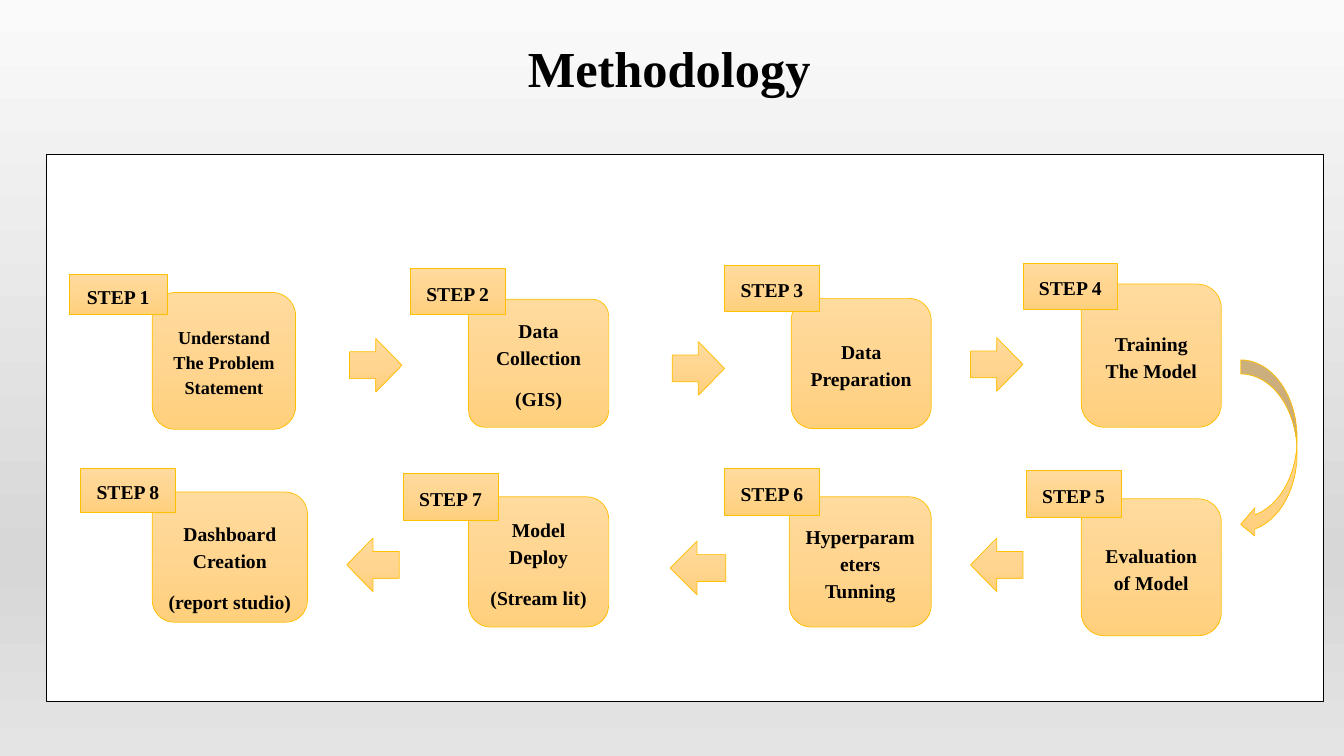
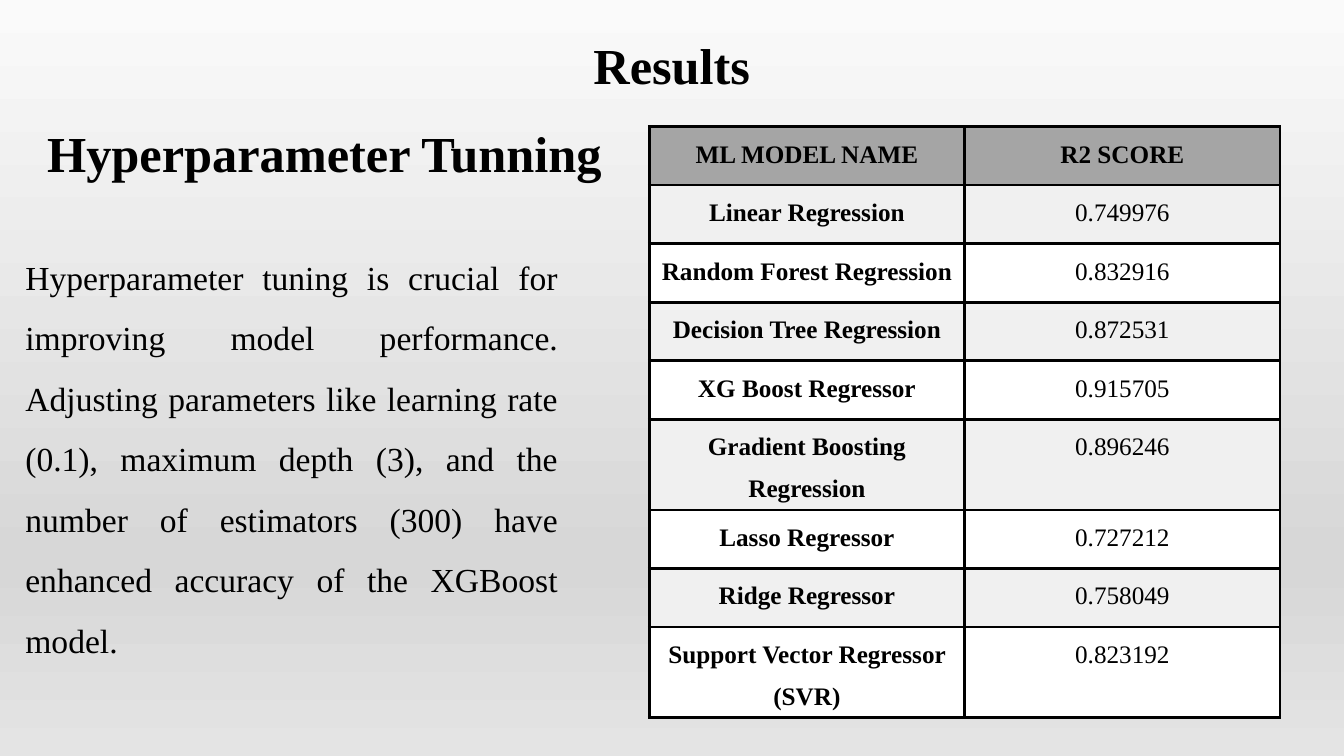
from lxml import etree
from pptx import Presentation
from pptx.dml.color import RGBColor
from pptx.enum.shapes import MSO_SHAPE
from pptx.enum.text import MSO_ANCHOR, MSO_AUTO_SIZE, PP_ALIGN
from pptx.oxml.ns import qn
from pptx.util import Cm, Pt

RECT = MSO_SHAPE.RECTANGLE
ROUND = MSO_SHAPE.ROUNDED_RECTANGLE
RIGHT_ARROW = MSO_SHAPE.RIGHT_ARROW
LEFT_ARROW = MSO_SHAPE.LEFT_ARROW
CURVED_ARROW = MSO_SHAPE.CURVED_LEFT_ARROW
CENTER, JUSTIFY = PP_ALIGN.CENTER, PP_ALIGN.JUSTIFY
TOP, MIDDLE = MSO_ANCHOR.TOP, MSO_ANCHOR.MIDDLE
NO_FIT = MSO_AUTO_SIZE.NONE

FONT = "Times New Roman"
BLACK, WHITE, GOLD = "000000", "FFFFFF", "FFC000"
HEADER, BAND = "A5A5A5", "F0F0F0"
BACKDROP = ((0, "FAFAFA"), (74, "D7D7D7"), (100, "E4E4E4"))
AMBER = ((0, "FFDB9E"), (50, "FFD590"), (100, "FFD07C"))

STEPS = (
    (("Understand The Problem Statement",), (3.84, 7.37, 3.61, 3.45),
     (-2.09, -0.46, 2.46, 1.02), {"size": 13}),
    (("Data Collection", "(GIS)"), (11.81, 7.54, 3.53, 3.23),
     (-1.47, -0.78, 2.39, 1.17), {"corner": 0.13}),
    (("Data Preparation",), (19.94, 7.52, 3.53, 3.28),
     (-1.68, -0.84, 2.39, 1.17), {}),
    (("Training The Model",), (27.25, 7.16, 3.53, 3.61),
     (-1.47, -0.53, 2.39, 1.17), {}),
    (("Evaluation of Model",), (27.25, 12.57, 3.53, 3.45),
     (-1.39, -0.71, 2.39, 1.17), {}),
    (("Hyperparameters Tunning",), (19.89, 12.52, 3.58, 3.28),
     (-1.63, -0.71, 2.39, 1.17), {}),
    (("Model Deploy", "(Stream lit)"), (11.81, 12.52, 3.53, 3.28),
     (-1.65, -0.58, 2.39, 1.17), {}),
    (("Dashboard Creation", "(report studio)"), (3.84, 12.4, 3.91, 3.28),
     (-1.81, -0.59, 2.39, 1.09), {"anchor": TOP, "top": 0.5, "side": 0.1}),
)
ARROWS = (
    (RIGHT_ARROW, (8.81, 8.53, 1.32, 1.35)),
    (RIGHT_ARROW, (16.94, 8.61, 1.32, 1.35)),
    (RIGHT_ARROW, (24.46, 8.51, 1.32, 1.35)),
    (CURVED_ARROW, (31.27, 9.07, 1.42, 4.5)),
    (LEFT_ARROW, (24.46, 13.56, 1.32, 1.35)),
    (LEFT_ARROW, (16.89, 13.64, 1.4, 1.35)),
    (LEFT_ARROW, (8.74, 13.56, 1.32, 1.35)),
)
SCORES = (
    ("ML MODEL NAME", "R2 SCORE"),
    ("Linear Regression", "0.749976"),
    ("Random Forest Regression", "0.832916"),
    ("Decision Tree Regression", "0.872531"),
    ("XG Boost Regressor", "0.915705"),
    ("Gradient Boosting Regression", "0.896246"),
    ("Lasso Regressor", "0.727212"),
    ("Ridge Regressor", "0.758049"),
    ("Support Vector Regressor (SVR)", "0.823192"),
)
TUNING = (
    "Hyperparameter tuning is crucial for improving model performance. "
    "Adjusting parameters like learning rate (0.1), maximum depth (3), and "
    "the number of estimators (300) have enhanced accuracy of the XGBoost model."
)


def rgb(value):
    return RGBColor.from_string(value)


def cms(box):
    return [Cm(v) for v in box]


def set_gradient(fill, element, stops):
    fill.gradient()
    fill.gradient_angle = 270
    gs_list = next(element.iter(qn("a:gsLst")))
    for gs in list(gs_list):
        gs_list.remove(gs)
    for pos, color in stops:
        gs = etree.SubElement(gs_list, qn("a:gs"), pos=str(pos * 1000))
        etree.SubElement(gs, qn("a:srgbClr"), val=color)


def write(tf, *lines, size=14, bold=True, align=CENTER, spacing=1.15, after=10):
    tf.word_wrap = True
    for i, line in enumerate(lines):
        p = tf.paragraphs[0] if i == 0 else tf.add_paragraph()
        p.alignment = align
        p.line_spacing, p.space_after = spacing, Pt(after)
        r = p.add_run()
        r.text = line
        r.font.name, r.font.size, r.font.bold = FONT, Pt(size), bold
        r.font.color.rgb = rgb(BLACK)


def heading(sp, text, box):
    sp.left, sp.top, sp.width, sp.height = cms(box)
    tf = sp.text_frame
    tf.auto_size, tf.vertical_anchor = NO_FIT, TOP
    write(tf, text, size=36, spacing=1.0, after=0)


def titled_slide(prs, text, box):
    s = prs.slides.add_slide(prs.slide_layouts[5])
    heading(s.shapes.title, text, box)
    return s


def add_box(s, kind, box, line=GOLD, width=0.5):
    sp = s.shapes.add_shape(kind, *cms(box))
    sp.shadow.inherit = False
    sp.line.color.rgb, sp.line.width = rgb(line), Pt(width)
    return sp


def amber_box(s, kind, box):
    sp = add_box(s, kind, box)
    set_gradient(sp.fill, sp.element, AMBER)
    return sp


def label(sp, *lines, anchor=MIDDLE, top=0.25, side=0.25, **style):
    tf = sp.text_frame
    tf.margin_left = tf.margin_right = Cm(side)
    tf.margin_top, tf.margin_bottom = Cm(top), Cm(0.25)
    tf.vertical_anchor = anchor
    write(tf, *lines, **style)


def step(s, number, lines, card_box, tag_offset, corner=0.17, **style):
    card = amber_box(s, ROUND, card_box)
    card.adjustments[0] = corner
    label(card, *lines, **style)
    x, y = card_box[:2]
    dx, dy, w, h = tag_offset
    label(amber_box(s, RECT, (x + dx, y + dy, w, h)), f"STEP {number}")


def border(cell, color, width):
    tc_pr = cell._tc.get_or_add_tcPr()
    for i, side in enumerate(("a:lnL", "a:lnR", "a:lnT", "a:lnB")):
        ln = etree.Element(qn(side), w=str(Pt(width)))
        fill = etree.SubElement(ln, qn("a:solidFill"))
        etree.SubElement(fill, qn("a:srgbClr"), val=color)
        tc_pr.insert(i, ln)


def score_table(s, box):
    x, y, w, h = box
    rows, cols = len(SCORES), len(SCORES[0])
    table = s.shapes.add_table(rows, cols, *cms(box)).table
    table.first_row = table.horz_banding = False
    for col in table.columns:
        col.width = Cm(w / cols)
    for i, texts in enumerate(SCORES):
        table.rows[i].height = Cm(h / rows)
        color = HEADER if i == 0 else BAND if i % 2 else WHITE
        for j, text in enumerate(texts):
            cell = table.cell(i, j)
            cell.margin_left = cell.margin_right = Cm(0.18)
            cell.margin_top = cell.margin_bottom = 0
            cell.fill.solid()
            cell.fill.fore_color.rgb = rgb(color)
            border(cell, BLACK, 2.25)
            write(cell.text_frame, text, size=18, spacing=1.5,
                  bold=i == 0 or j == 0)


def methodology(prs):
    s = titled_slide(prs, "Methodology", (0.38, 0.81, 32.97, 1.8))
    panel = add_box(s, RECT, (1.17, 3.89, 32.18, 13.79), BLACK, 1)
    panel.fill.solid()
    panel.fill.fore_color.rgb = rgb(WHITE)
    for number, (lines, card_box, tag_offset, style) in enumerate(STEPS, 1):
        step(s, number, lines, card_box, tag_offset, **style)
    for kind, box in ARROWS:
        amber_box(s, kind, box)


def results(prs):
    s = titled_slide(prs, "Results", (0.79, 0.74, 32.28, 1.8))
    heading(s.shapes.add_textbox(0, 0, 0, 0), "Hyperparameter Tunning",
            (0, 2.95, 16.36, 1.8))
    body = s.shapes.add_textbox(*cms((0.39, 5.84, 13.92, 10.85)))
    write(body.text_frame, TUNING, size=24, bold=False, align=JUSTIFY,
          spacing=1.5)
    score_table(s, (16.36, 3.19, 15.9, 13.28))


def main():
    prs = Presentation()
    prs.slide_width, prs.slide_height = Cm(33.87), Cm(19.05)
    master = prs.slide_master
    set_gradient(master.background.fill, master.element, BACKDROP)
    methodology(prs)
    results(prs)
    prs.save("out.pptx")


if __name__ == "__main__":
    main()
